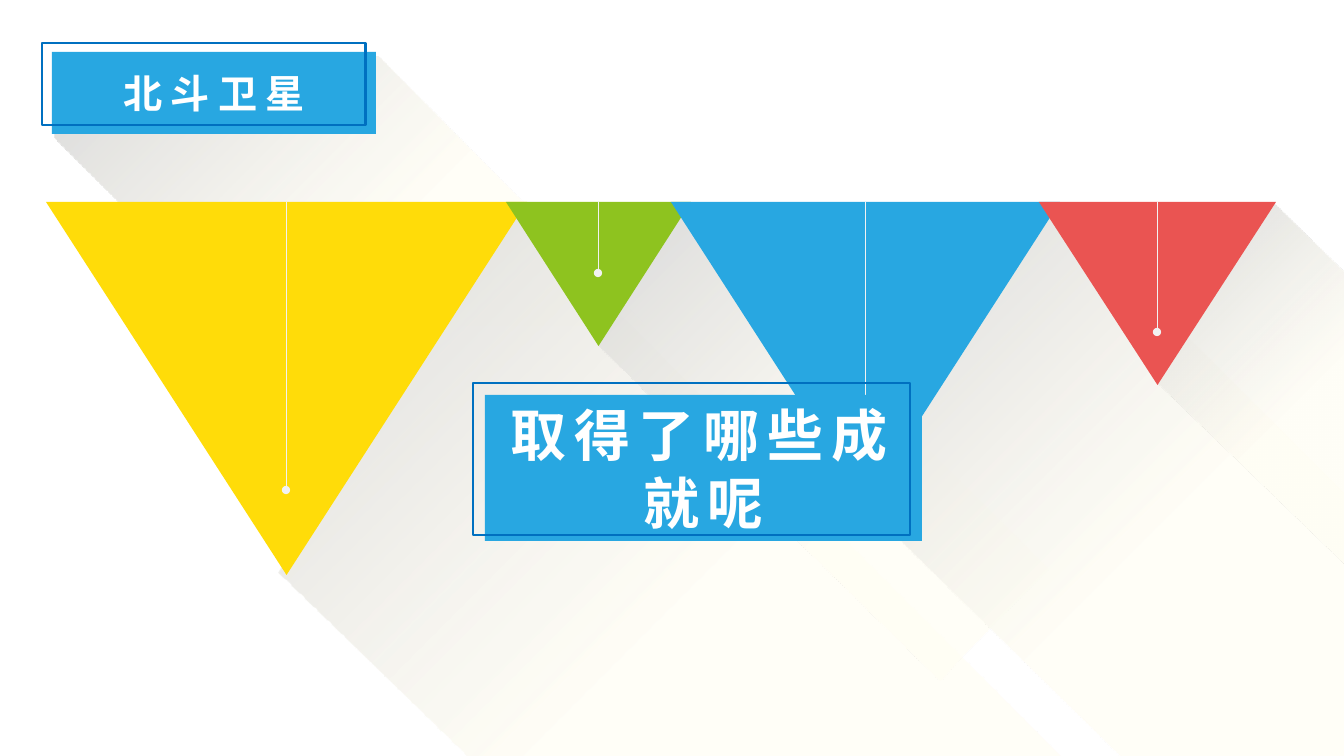
from lxml.etree import SubElement
from pptx import Presentation
from pptx.dml.color import RGBColor
from pptx.enum.shapes import MSO_CONNECTOR as CONNECTOR, MSO_SHAPE as SHAPE
from pptx.enum.text import MSO_ANCHOR as ANCHOR, PP_ALIGN as ALIGN
from pptx.oxml.ns import qn
from pptx.util import Pt

SLIDE_WIDTH, SLIDE_HEIGHT = 1344, 756
EMU_PER_PX = 12192000 / SLIDE_WIDTH

BLUE = RGBColor(0x28, 0xA7, 0xE1)
DARK_BLUE = RGBColor(0x00, 0x70, 0xC0)
YELLOW = RGBColor(0xFF, 0xDC, 0x09)
GREEN = RGBColor(0x8E, 0xC3, 0x1F)
RED = RGBColor(0xEA, 0x54, 0x52)
WHITE = RGBColor(0xFF, 0xFF, 0xFF)
PIN_GREY = RGBColor(0xF2, 0xF2, 0xF2)
SHADOW_GREY = RGBColor(0xD9, 0xD9, 0xD9)
SHADOW_CREAM = RGBColor(0xFF, 0xFD, 0xF3)

# Box, colour, pin length, shadow corners relative to the box
TRIANGLES = [
    ((46, 202, 481, 373), YELLOW, 288,
     [(233, 370), (468, 6), (1018, 556), (425, 556)]),
    ((506, 202, 185, 144), GREEN, 71,
     [(92, 143), (178, 3), (542, 367), (451, 459), (434, 479)]),
    ((671, 202, 389, 302), BLUE, 247,
     [(194, 303), (383, 2), (674, 293), (674, 559), (498, 559),
      (490, 554), (450, 554)]),
    ((1039, 202, 237, 183), RED, 130,
     [(118, 180), (234, 1), (316, 82), (316, 373)]),
]
TITLE_SHADOW = [(3, 86), (3, 5), (327, 5), (594, 273), (191, 273)]


def px(length):
    return round(length * EMU_PER_PX)


def add_shape(slide, kind, box, fill=None, line=None):
    shape = slide.shapes.add_shape(kind, *map(px, box))
    shape.shadow.inherit = False
    if fill is None:
        shape.fill.background()
    else:
        shape.fill.solid()
        shape.fill.fore_color.rgb = fill
    if line is None:
        shape.line.fill.background()
    else:
        shape.line.color.rgb = line
        shape.line.width = Pt(2)
    return shape


def add_long_shadow(slide, box, corners):
    left, top = box[:2]
    points = [(left + x, top + y) for x, y in corners]
    builder = slide.shapes.build_freeform(*points[0], scale=EMU_PER_PX)
    builder.add_line_segments(points[1:], close=True)
    shape = builder.convert_to_shape()
    shape.shadow.inherit = False
    shape.line.fill.background()

    # Grey at the top left, fading to translucent cream
    shape.fill.gradient()
    shape.fill.gradient_angle = 315
    start, end = shape.fill.gradient_stops
    start.position, start.color.rgb = 0, SHADOW_GREY
    end.position, end.color.rgb = 0.6, SHADOW_CREAM
    cream = shape.element.findall(".//" + qn("a:srgbClr"))[-1]
    SubElement(cream, qn("a:alpha"), val="70000")


def add_pin(slide, box, length):
    left, top, width, _ = box
    middle = left + width // 2
    pin = slide.shapes.add_connector(
        CONNECTOR.STRAIGHT, px(middle), px(top + length), px(middle), px(top))
    pin.line.color.rgb = PIN_GREY
    pin.line.width = Pt(0.5)
    SubElement(pin.line._get_or_add_ln(), qn("a:headEnd"), type="oval")
    SubElement(pin.element.spPr, qn("a:effectLst"))


def add_triangle_row(slide, triangles):
    for box, _, _, corners in triangles:
        add_long_shadow(slide, box, corners)
    for box, colour, _, _ in triangles:
        add_shape(slide, SHAPE.ISOSCELES_TRIANGLE, box, colour).rotation = 180
    for box, _, length, _ in triangles:
        add_pin(slide, box, length)


def add_banner(slide, box, frame, text, size):
    banner = add_shape(slide, SHAPE.RECTANGLE, box, BLUE)
    text_frame = banner.text_frame
    text_frame.word_wrap = True
    text_frame.vertical_anchor = ANCHOR.MIDDLE
    paragraph = text_frame.paragraphs[0]
    paragraph.alignment = ALIGN.CENTER
    run = paragraph.add_run()
    run.text = text
    run.font.name = "Arial"
    run.font.size = Pt(size)
    run.font.bold = True
    run.font.color.rgb = WHITE
    run.font._element.set("spc", "600")
    add_shape(slide, SHAPE.RECTANGLE, frame, line=DARK_BLUE)


def main():
    presentation = Presentation()
    presentation.slide_width = px(SLIDE_WIDTH)
    presentation.slide_height = px(SLIDE_HEIGHT)
    slide = presentation.slides.add_slide(presentation.slide_layouts[6])

    # Title
    title_box = (52, 52, 324, 82)
    add_long_shadow(slide, title_box, TITLE_SHADOW)
    add_banner(slide, title_box, (42, 43, 324, 82), "北斗卫星", 28)

    # Triangles, then the question in front of them
    add_triangle_row(slide, TRIANGLES)
    add_banner(slide, (485, 395, 437, 146), (473, 383, 437, 152),
               "取得了哪些成就呢", 40)

    presentation.save("out.pptx")


if __name__ == "__main__":
    main()
